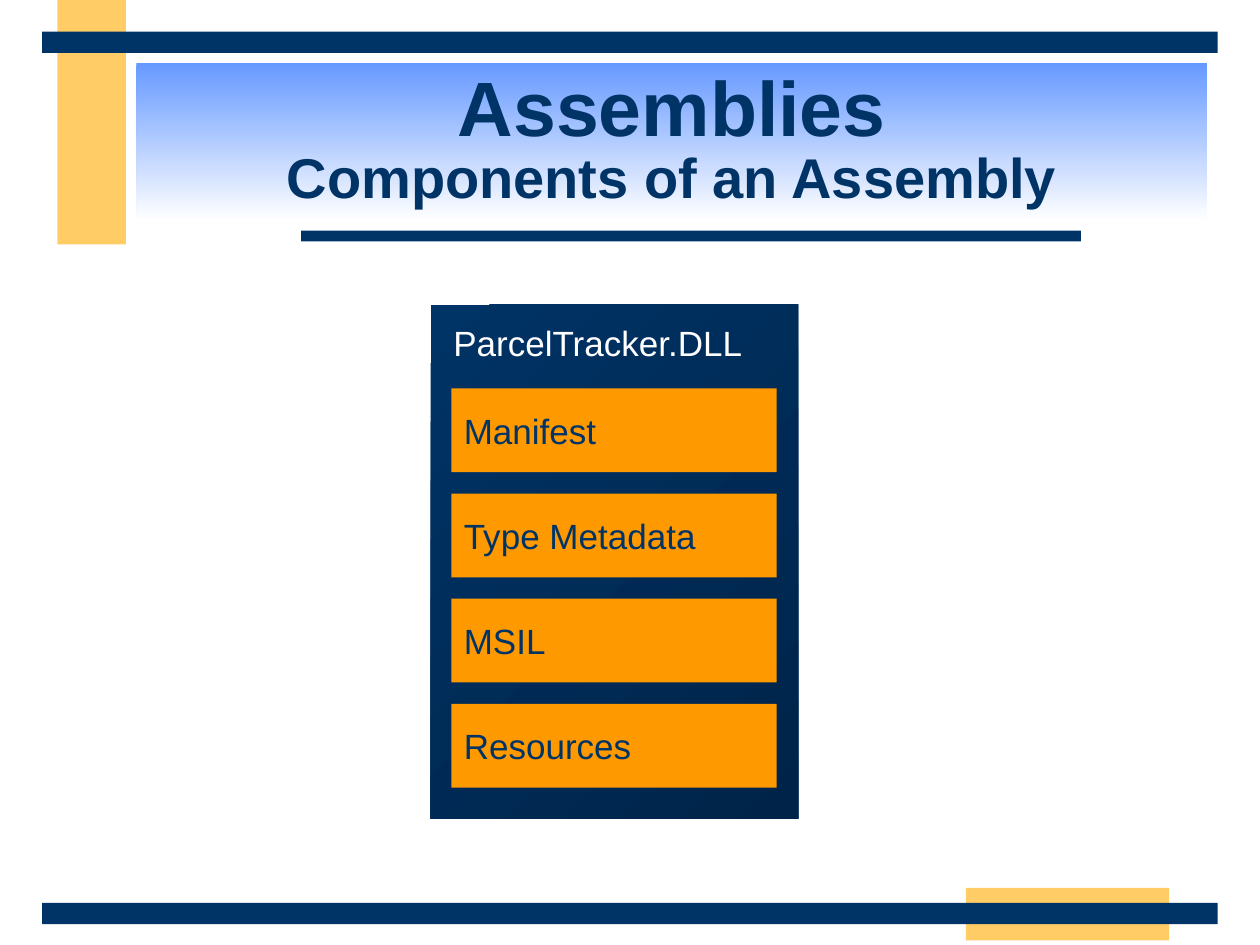
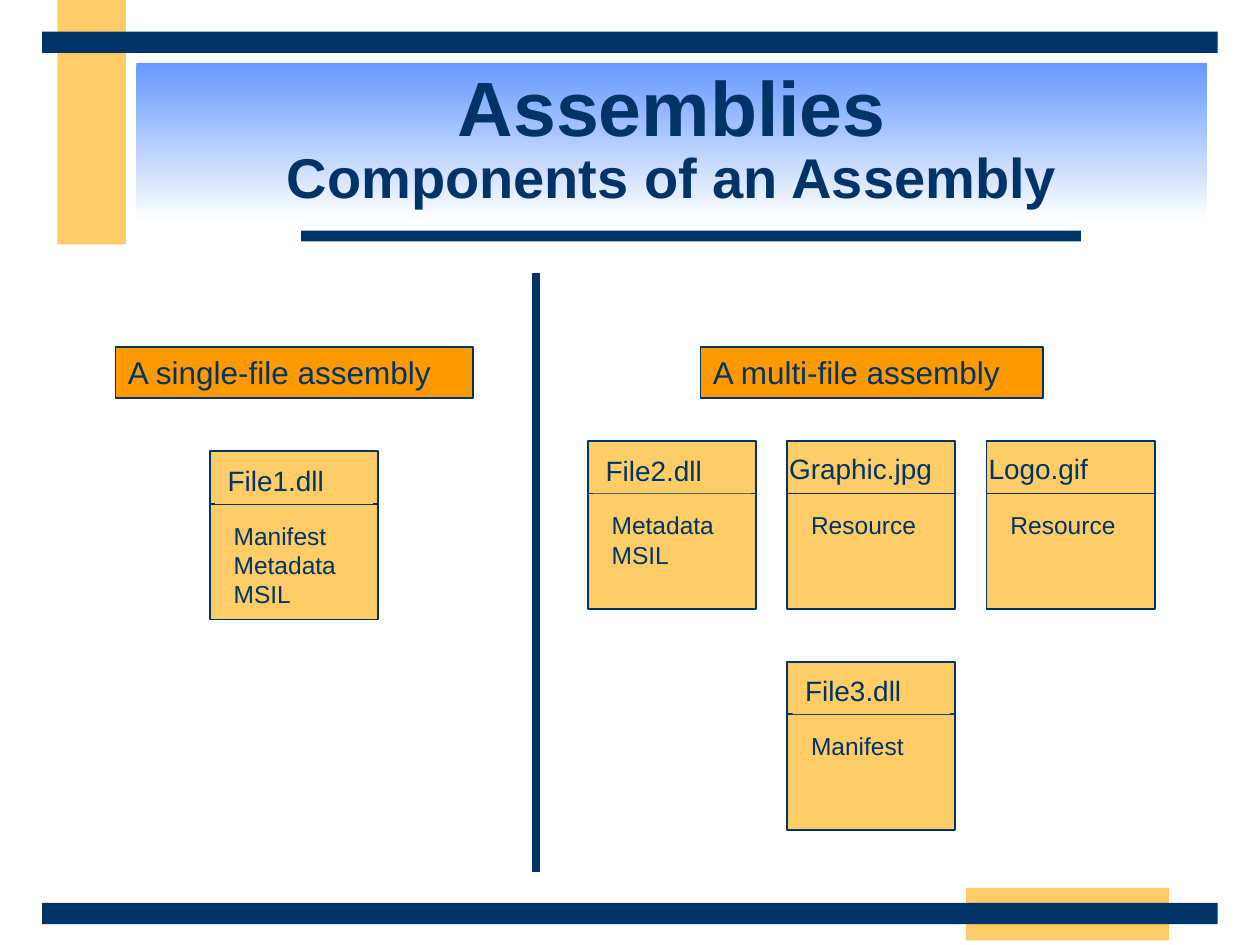
import pptx
import pptx.dml.color
import pptx.enum.shapes
import pptx.enum.text
import pptx.util
from lxml import etree
from pptx.oxml.ns import qn

Cm = pptx.util.Cm
RECT = pptx.enum.shapes.MSO_SHAPE.RECTANGLE
ALIGN = pptx.enum.text.PP_ALIGN
ANCHOR = pptx.enum.text.MSO_ANCHOR

NAVY, SAND, ORANGE, WHITE = "003366", "FFCC66", "FF9900", "FFFFFF"
SKY, MIDNIGHT = "6699FF", "002449"
FONT = "Arial"

# Bands behind every slide: left, top, width, height, colour
BANDS = [
    (1.16, 0, 1.38, 4.93, SAND),
    (19.47, 17.9, 4.1, 1.06, SAND),
    (6.07, 4.65, 15.72, 0.22, NAVY),
    (0.85, 18.2, 23.7, 0.43, NAVY),
    (0.85, 0.64, 23.7, 0.43, NAVY),
]


def color(hex_code):
    return pptx.dml.color.RGBColor.from_string(hex_code)


def fill_gradient(shape, first, last, angle):
    shape.fill.gradient()
    shape.fill.gradient_angle = 360 - angle
    for stop, hex_code in zip(shape.fill.gradient_stops, (first, last)):
        stop.color.rgb = color(hex_code)


def add_box(shapes, left, top, width, height, fill=None, line=None):
    box = shapes.add_shape(RECT, Cm(left), Cm(top), Cm(width), Cm(height))
    box.shadow.inherit = False
    if fill:
        box.fill.solid()
        box.fill.fore_color.rgb = color(fill)
    else:
        box.fill.background()
    if line:
        box.line.color.rgb = color(line)
        box.line.width = pptx.util.Pt(1)
    else:
        box.line.fill.background()
    return box


def format_run(run, size, hex_code=NAVY, bold=False):
    run.font.name = FONT
    run.font.size = pptx.util.Pt(size)
    run.font.bold = bold
    run.font.color.rgb = color(hex_code)


def write(box, text, size, hex_code=NAVY, anchor=ANCHOR.TOP):
    frame = box.text_frame
    frame.word_wrap = True
    frame.vertical_anchor = anchor
    frame.text = text
    for paragraph in frame.paragraphs:
        paragraph.alignment = ALIGN.LEFT
        for run in paragraph.runs:
            format_run(run, size, hex_code)


def add_rule(shapes, x1, y1, x2, y2, weight):
    rule = shapes.add_connector(
        pptx.enum.shapes.MSO_CONNECTOR.STRAIGHT, Cm(x1), Cm(y1), Cm(x2), Cm(y2))
    rule.line.color.rgb = color(NAVY)
    rule.line.width = pptx.util.Pt(weight)
    etree.SubElement(rule.element.spPr, qn("a:effectLst"))


def move_bands_to_layout(slide):
    """Draw the bands, then hand them to the layout so all slides share them."""
    layout_tree = slide.slide_layout.element.cSld.spTree
    for index, (left, top, width, height, fill) in enumerate(BANDS):
        band = add_box(slide.shapes, left, top, width, height, fill).element
        band.nvSpPr.cNvPr.set("id", str(100 + index))
        layout_tree.insert(2 + index, band)


def add_title(slide, heading, subheading):
    title = slide.shapes.title
    title.left, title.top = Cm(2.75), Cm(1.27)
    title.width, title.height = Cm(21.59), Cm(3.18)
    fill_gradient(title, SKY, WHITE, 90)
    frame = title.text_frame
    frame.auto_size = pptx.enum.text.MSO_AUTO_SIZE.NONE
    frame.vertical_anchor = ANCHOR.MIDDLE
    frame.text = f"{heading}\v{subheading}"
    paragraph = frame.paragraphs[0]
    paragraph.alignment = ALIGN.CENTER
    paragraph.line_spacing = 0.85
    for run, size in zip(paragraph.runs, (44, 32)):
        format_run(run, size, bold=True)


def add_assembly_panel(slide, left, top, name, parts):
    """Dark panel with the assembly's name above its stacked parts."""
    panel = add_box(slide.shapes, left, top, 7.41, 10.37)
    fill_gradient(panel, NAVY, MIDNIGHT, 45)
    caption = slide.shapes.add_textbox(
        Cm(left + 0.21), Cm(top + 0.21), Cm(6.76), Cm(1.1))
    write(caption, name, 20, WHITE)
    for row, part in enumerate(parts):
        part_box = add_box(slide.shapes, left + 0.42, top + 1.69 + row * 2.12,
                           6.56, 1.69, ORANGE)
        write(part_box, part, 20, anchor=ANCHOR.MIDDLE)


def add_file_card(slide, left, top, name, contents):
    """Square card: file name, rule, contents."""
    side, name_height = 3.39, 1.06
    shapes = slide.shapes.add_group_shape().shapes
    add_box(shapes, left, top, side, side, SAND, NAVY)
    add_rule(shapes, left, top + name_height, left + side, top + name_height, 1)
    lines = len(contents.splitlines())
    contents_box = add_box(shapes, left + 0.23, top + 1.27, 2.97,
                           0.25 + 0.6 * lines, SAND)
    write(contents_box, contents, 14)
    if name.endswith(".dll"):
        name_box = add_box(shapes, left + 0.11, top + 0.12, 3.18, 0.94, SAND)
    else:
        name_box = shapes.add_textbox(
            Cm(left - 0.21), Cm(top + 0.08), Cm(3.81), Cm(0.94))
    write(name_box, name, 16)


def add_column_label(slide, left, width, text):
    label = add_box(slide.shapes, left, 6.99, width, 1.04, ORANGE, NAVY)
    write(label, text, 18)


def build_parts_slide(slide):
    add_assembly_panel(slide, 8.68, 6.14, "ParcelTracker.DLL",
                       ["Manifest", "Type Metadata", "MSIL", "Resources"])


def build_files_slide(slide):
    add_rule(slide.shapes, 10.8, 5.5, 10.8, 17.57, 4.5)

    # Single-file column
    add_column_label(slide, 2.33, 7.21, "A single-file assembly")
    add_file_card(slide, 4.23, 9.1, "File1.dll", "Manifest\vMetadata\nMSIL")

    # Multi-file column
    add_column_label(slide, 14.12, 6.91, "A multi-file assembly")
    first, top, pitch = 11.85, 8.89, 4.02
    files = [("File2.dll", "Metadata\nMSIL"), ("Graphic.jpg", "Resource"),
             ("Logo.gif", "Resource")]
    for column, (name, contents) in enumerate(files):
        add_file_card(slide, first + column * pitch, top, name, contents)
    add_file_card(slide, first + pitch, 13.34, "File3.dll", "Manifest")


def main():
    prs = pptx.Presentation()
    prs.slide_width, prs.slide_height = Cm(25.4), Cm(19.05)
    title_only = prs.slide_layouts[5]
    for number, build in enumerate((build_parts_slide, build_files_slide)):
        slide = prs.slides.add_slide(title_only)
        if number == 0:
            move_bands_to_layout(slide)
        add_title(slide, "Assemblies", "Components of an Assembly")
        build(slide)
    prs.save("out.pptx")


if __name__ == "__main__":
    main()
